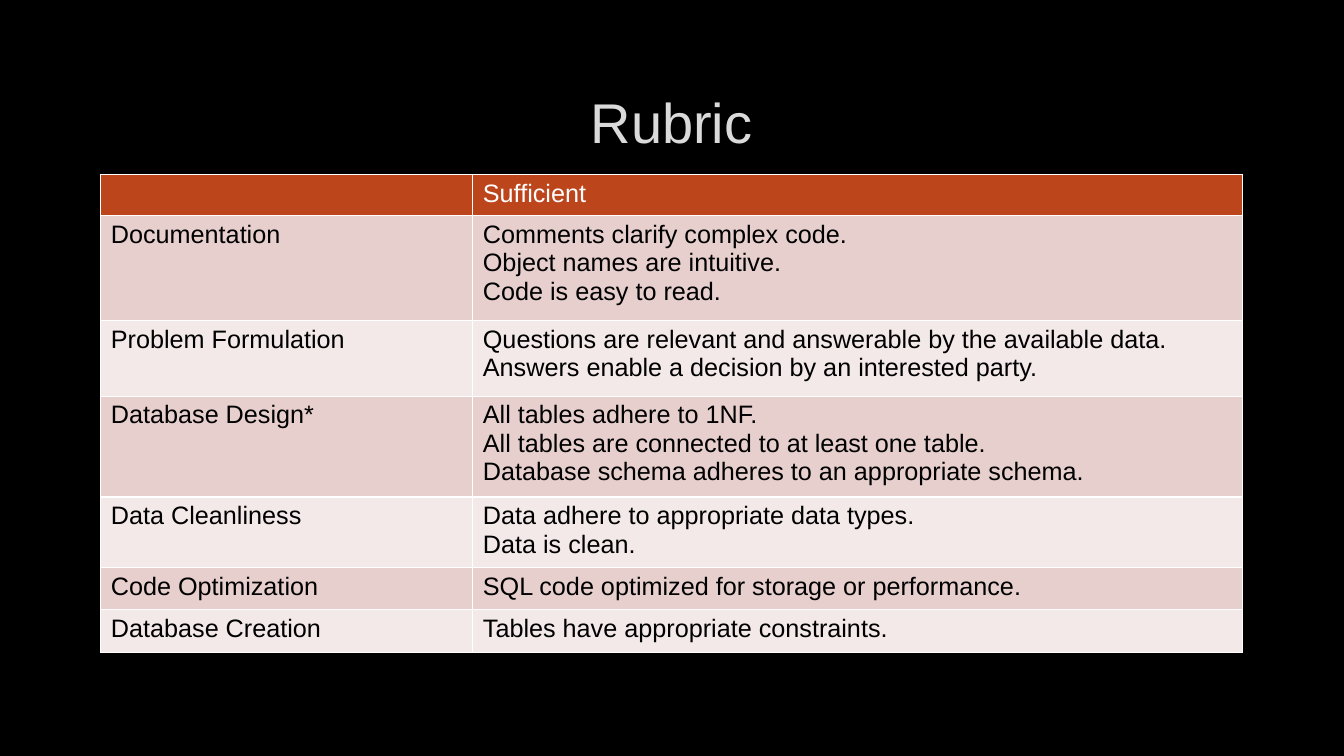
from lxml.etree import SubElement
from pptx import Presentation
from pptx.dml.color import RGBColor
from pptx.enum.text import MSO_ANCHOR, PP_ALIGN
from pptx.oxml.ns import qn
from pptx.util import Inches, Pt

TITLE = "Rubric"
ROWS = [
    ("", ["Sufficient"]),
    ("Documentation", ["Comments clarify complex code.", "Object names are intuitive.",
                       "Code is easy to read."]),
    ("Problem Formulation", ["Questions are relevant and answerable by the available data.",
                             "Answers enable a decision by an interested party."]),
    ("Database Design*", ["All tables adhere to 1NF.",
                          "All tables are connected to at least one table.",
                          "Database schema adheres to an appropriate schema."]),
    ("Data Cleanliness", ["Data adhere to appropriate data types.", "Data is clean."]),
    ("Code Optimization", ["SQL code optimized for storage or performance."]),
    ("Database Creation", ["Tables have appropriate constraints."]),
]
WIDTHS = [3.69, 7.63]
HEIGHTS = [0.41, 1.04, 0.75, 0.93, 0.66, 0.42, 0.42]
LEFT, TOP = 1, 1.73
HEAD, BANDS = "BC451B", ["F3E9E8", "E7CFCD"]
WHITE, BLACK, GREY = "FFFFFF", "000000", "DADADA"


def paint(fill, color):
    fill.solid()
    fill.fore_color.rgb = RGBColor.from_string(color)


def write(frame, lines, size, color, align=PP_ALIGN.LEFT):
    for i, line in enumerate(lines):
        para = frame.add_paragraph() if i else frame.paragraphs[0]
        para.alignment = align
        run = para.add_run()
        run.text = line
        run.font.name = "Arial"
        run.font.size = Pt(size)
        run.font.color.rgb = RGBColor.from_string(color)


def border(cell):
    props = cell._tc.get_or_add_tcPr()
    for side in ("lnL", "lnR", "lnT", "lnB"):
        line = SubElement(props, qn(f"a:{side}"), w=str(Pt(1)))
        fill = SubElement(line, qn("a:solidFill"))
        SubElement(fill, qn("a:srgbClr"), val=WHITE)


def add_title(slide):
    box = slide.shapes.add_textbox(Inches(LEFT), Inches(0.67), Inches(sum(WIDTHS)), Inches(1.06))
    frame = box.text_frame
    frame.word_wrap = True
    frame.vertical_anchor = MSO_ANCHOR.MIDDLE
    write(frame, [TITLE], 40, GREY, PP_ALIGN.CENTER)


def add_rubric(slide):
    table = slide.shapes.add_table(len(ROWS), len(WIDTHS), Inches(LEFT), Inches(TOP),
                                   Inches(sum(WIDTHS)), Inches(sum(HEIGHTS))).table
    for col, width in zip(table.columns, WIDTHS):
        col.width = Inches(width)
    for r, (topic, goals) in enumerate(ROWS):
        table.rows[r].height = Inches(HEIGHTS[r])
        for c, lines in enumerate(([topic], goals)):
            cell = table.cell(r, c)
            border(cell)
            paint(cell.fill, BANDS[r % 2] if r else HEAD)
            if lines[0]:
                write(cell.text_frame, lines, 18, BLACK if r else WHITE)


def main():
    """Build the rubric slide."""
    deck = Presentation()
    deck.slide_width, deck.slide_height = Inches(13.33), Inches(7.5)
    slide = deck.slides.add_slide(deck.slide_layouts[6])
    paint(slide.background.fill, BLACK)
    add_title(slide)
    add_rubric(slide)
    deck.save("out.pptx")


if __name__ == "__main__":
    main()
